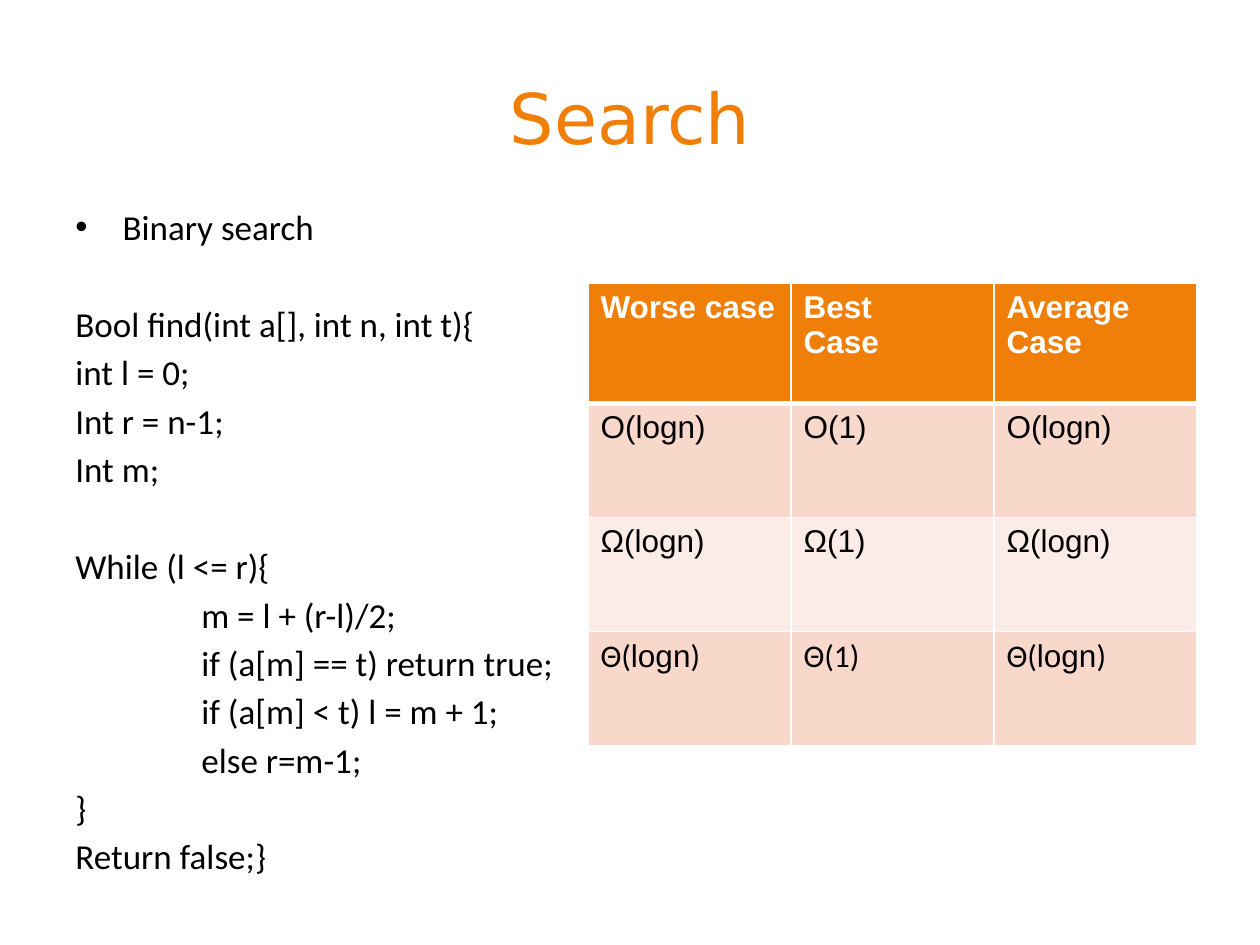
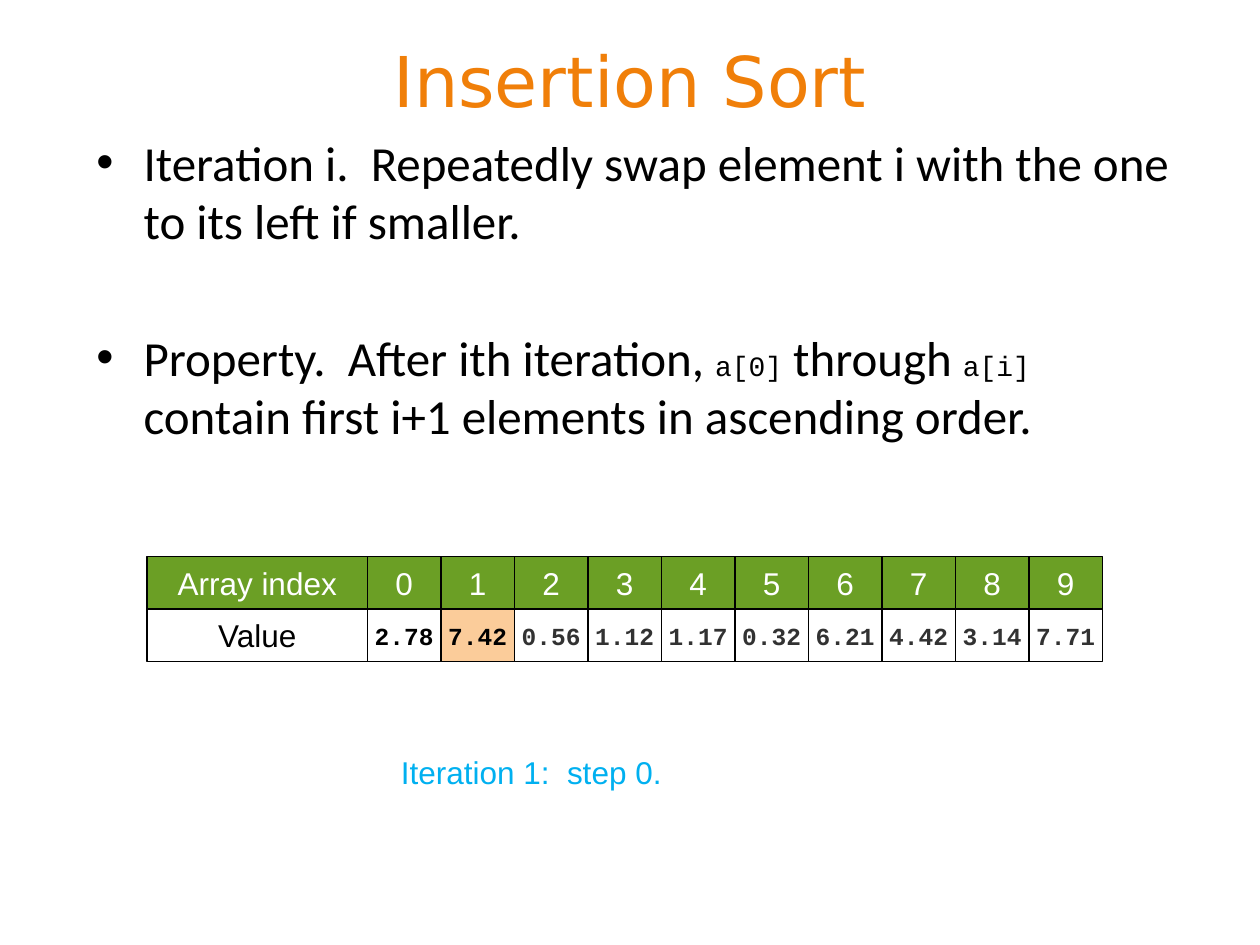
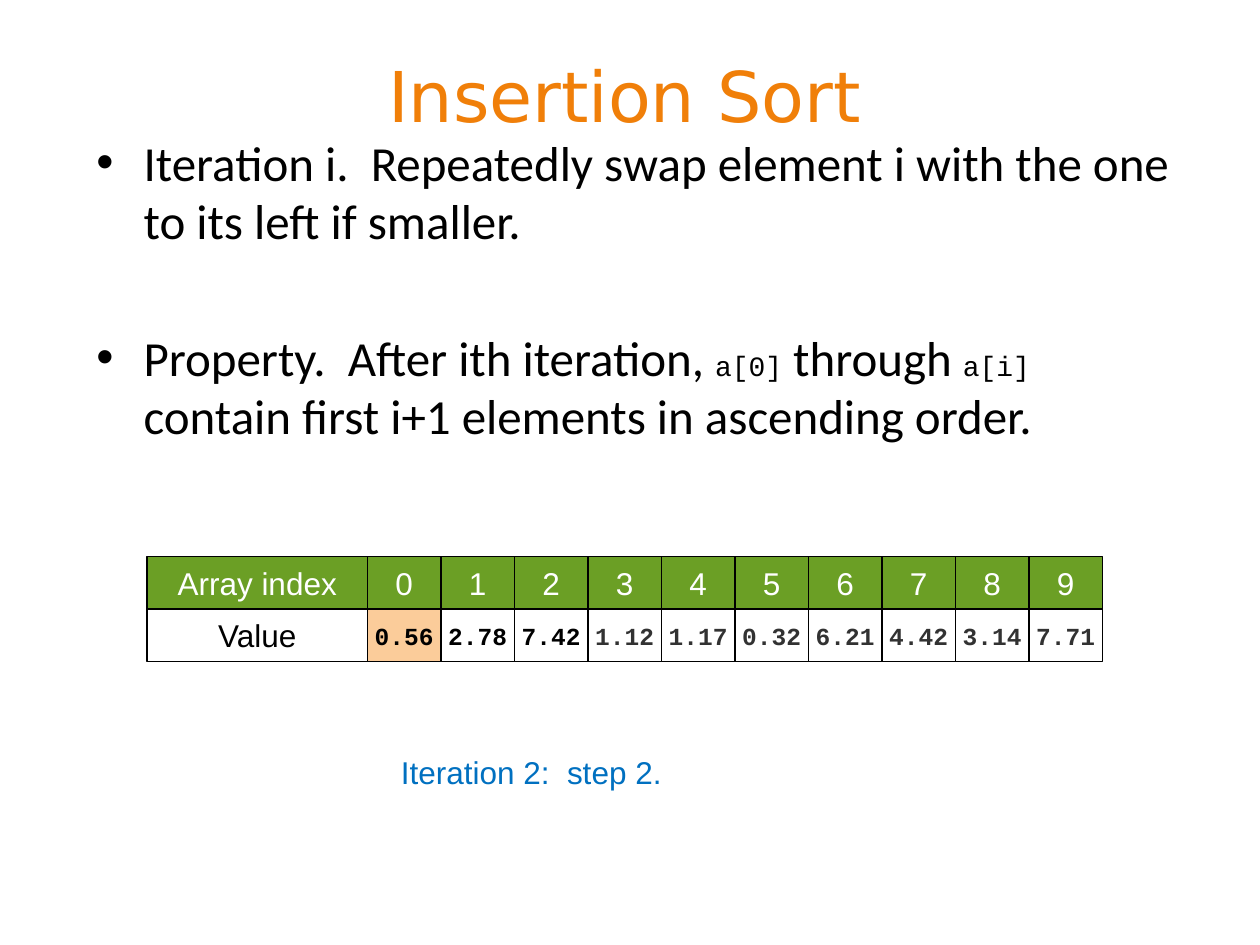
import pptx
import pptx.util
import pptx.dml.color
import pptx.enum.shapes
import pptx.enum.text
import pptx.oxml.ns
import lxml.etree

Pt = pptx.util.Pt
RGBColor = pptx.dml.color.RGBColor
ALIGN = pptx.enum.text.PP_ALIGN
ANCHOR = pptx.enum.text.MSO_ANCHOR

ORANGE = RGBColor(0xF0, 0x7F, 0x09)
PINK = RGBColor(0xF9, 0xD8, 0xCC)
PALE_PINK = RGBColor(0xFC, 0xEC, 0xE7)
GREEN = RGBColor(0x6B, 0x9F, 0x25)
PEACH = RGBColor(0xFB, 0xCC, 0x9A)
SKY = RGBColor(0x00, 0xB0, 0xF0)
BLUE = RGBColor(0x00, 0x70, 0xC0)
GREY = RGBColor(0x32, 0x32, 0x32)
BLACK = RGBColor(0, 0, 0)
WHITE = RGBColor(0xFF, 0xFF, 0xFF)

TITLE_FONT, BODY_FONT, TABLE_FONT, CODE_FONT = "DejaVu Sans", "Calibri", "Arial", "Courier New"
BULLET_INDENT = 27
CODE_INDENT = 72

CODE_LINES = [
    ("Bool find(int a[], int n, int t){", 0, True),
    ("int l = 0;", 0, False),
    ("Int r = n-1;", 0, False),
    ("Int m;", 0, False),
    ("While (l <= r){", 0, True),
    ("m = l + (r-l)/2;", 1, False),
    ("if (a[m] == t) return true;", 1, False),
    ("if (a[m] < t) l = m + 1;", 1, False),
    ("else r=m-1;", 1, False),
    ("}", 0, False),
    ("Return false;}", 0, False),
]
SORT_POINTS = [
    [("Iteration i.  Repeatedly swap element i with the one to its left if smaller.", False)],
    [("Property.  After ith iteration, ", False), ("a[0]", True), (" through ", False),
     ("a[i]", True), (" contain first i+1 elements in ascending order.", False)],
]
CASE_HEADERS = ["Worse case", "Best\nCase", "Average\nCase"]
CASE_BOUNDS = ["logn", "1", "logn"]


def style(span, font, size, colour, bold=False):
    """Give a run its font, size, colour and weight."""
    span.font.name = font
    span.font.size = Pt(size)
    span.font.color.rgb = colour
    span.font.bold = bold


def add_span(para, text, font, size, colour, bold=False):
    """Append a styled run to a paragraph."""
    span = para.add_run()
    span.text = text
    style(span, font, size, colour, bold)


def add_child(parent, tag, **attributes):
    """Append a DrawingML element to a parent."""
    return lxml.etree.SubElement(parent, pptx.oxml.ns.qn(tag), **attributes)


def add_bullet(para):
    """Give a paragraph a hanging round bullet."""
    properties = para._p.get_or_add_pPr()
    properties.set("marL", str(Pt(BULLET_INDENT)))
    properties.set("indent", str(-Pt(BULLET_INDENT)))
    add_child(properties, "a:buFont", typeface="Arial")
    add_child(properties, "a:buChar", char="•")


def add_text_frame(page, box):
    """Add a wrapping text box and return its frame."""
    frame = page.shapes.add_textbox(*map(Pt, box)).text_frame
    frame.word_wrap = True
    return frame


def add_title(page, box, text):
    """Place the centred slide title."""
    frame = add_text_frame(page, box)
    frame.vertical_anchor = ANCHOR.MIDDLE
    frame.paragraphs[0].alignment = ALIGN.CENTER
    add_span(frame.paragraphs[0], text, TITLE_FONT, 40, ORANGE)


def add_code(page, box, heading, lines):
    """Place a bulleted heading above lines of code."""
    frame = add_text_frame(page, box)
    para = frame.paragraphs[0]
    para.space_before = Pt(3.6)
    add_span(para, heading, BODY_FONT, 20, BLACK)
    add_bullet(para)
    for text, level, starts_block in lines:
        para = frame.add_paragraph()
        para.space_before = Pt(31.6 if starts_block else 3.6)
        para._p.get_or_add_pPr().set("marL", str(Pt(level * CODE_INDENT)))
        add_span(para, text, BODY_FONT, 20, BLACK)


def set_borders(cell, bottom_width):
    """Draw white borders round a table cell."""
    properties = cell._tc.get_or_add_tcPr()
    for index, (side, width) in enumerate(
            [("a:lnL", 1), ("a:lnR", 1), ("a:lnT", 1), ("a:lnB", bottom_width)]):
        line = lxml.etree.Element(pptx.oxml.ns.qn(side), w=str(Pt(width)))
        add_child(add_child(line, "a:solidFill"), "a:srgbClr", val=str(WHITE))
        properties.insert(index, line)


def add_case_table(page, box):
    """Place the table of running times by case."""
    table = page.shapes.add_table(4, 3, *map(Pt, box)).table
    for column in table.columns:
        column.width = Pt(box[2] / 3)
    header_height = 68.4
    for index, row in enumerate(table.rows):
        row.height = Pt((box[3] - header_height) / 3 if index else header_height)
    for column, header in enumerate(CASE_HEADERS):
        cell = table.cell(0, column)
        cell.text_frame.text = header
        for para in cell.text_frame.paragraphs:
            style(para.runs[0], TABLE_FONT, 18, WHITE, True)
        for row, symbol in enumerate("OΩΘ", 1):
            para = table.cell(row, column).text_frame.paragraphs[0]
            bound = CASE_BOUNDS[column]
            if symbol == "Θ" and bound == "logn":
                parts = [("Θ(", BODY_FONT), (bound, TABLE_FONT), (")", BODY_FONT)]
            else:
                parts = [(f"{symbol}({bound})", BODY_FONT if symbol == "Θ" else TABLE_FONT)]
            for text, font in parts:
                add_span(para, text, font, 18, BLACK)
        for row, fill in enumerate([ORANGE, PINK, PALE_PINK, PINK]):
            cell = table.cell(row, column)
            cell.fill.solid()
            cell.fill.fore_color.rgb = fill
            set_borders(cell, 1 if row else 3)


def add_array_cell(shapes, box, text, fill, font, size, colour, bold=False):
    """Place one outlined cell of the array."""
    shape = shapes.add_shape(pptx.enum.shapes.MSO_SHAPE.RECTANGLE, *map(Pt, box))
    shape.shadow.inherit = False
    shape.fill.solid()
    shape.fill.fore_color.rgb = fill
    shape.line.color.rgb = BLACK
    shape.line.width = Pt(0.75)
    frame = shape.text_frame
    frame.word_wrap = False
    frame.vertical_anchor = ANCHOR.MIDDLE
    frame.paragraphs[0].alignment = ALIGN.CENTER
    add_span(frame.paragraphs[0], text, font, size, colour, bold)


def add_array(page, box, values, active, reached):
    """Place the index row and the value row of the array."""
    left, top, width, height = box
    label_width, row_height = 126, height / 2
    cell_width = (width - label_width) / len(values)
    value_top = top + row_height
    add_array_cell(page.shapes, (left, value_top, label_width, row_height),
                   "Value", WHITE, TABLE_FONT, 18, BLACK)
    header = page.shapes.add_group_shape().shapes
    add_array_cell(header, (left, top, label_width, row_height),
                   "Array index", GREEN, TABLE_FONT, 18, WHITE)
    for index, value in enumerate(values):
        cell_left = left + label_width + index * cell_width
        add_array_cell(header, (cell_left, top, cell_width, row_height),
                       str(index), GREEN, TABLE_FONT, 18, WHITE)
        add_array_cell(page.shapes, (cell_left, value_top, cell_width, row_height),
                       value, PEACH if index == active else WHITE, CODE_FONT, 14,
                       BLACK if index <= reached else GREY, True)


def add_caption(page, box, text, colour):
    """Place the line that names the step."""
    frame = add_text_frame(page, box)
    add_span(frame.paragraphs[0], text, TABLE_FONT, 18, colour)


def add_points(page, box):
    """Place the two bulleted statements about the sort."""
    frame = add_text_frame(page, box)
    for index, parts in enumerate(SORT_POINTS):
        para = frame.add_paragraph() if index else frame.paragraphs[0]
        para.space_before = Pt(44.2 if index else 5)
        for text, is_code in parts:
            add_span(para, text, CODE_FONT if is_code else BODY_FONT,
                     16 if is_code else 28, BLACK)
        add_bullet(para)


def add_search_slide(deck):
    """Build the binary search slide."""
    page = deck.slides.add_slide(deck.slide_layouts[6])
    add_title(page, (36, 21.6, 648, 90), "Search")
    add_code(page, (36, 113.76, 648, 368.64), "Binary search", CODE_LINES)
    add_case_table(page, (336, 162, 348, 264))


def add_sort_slide(deck, title_corner, values, active, reached, caption, colour):
    """Build one step of the insertion sort."""
    page = deck.slides.add_slide(deck.slide_layouts[6])
    add_array(page, (84, 318, 546, 60), values.split(), active, reached)
    add_caption(page, (222, 427, 294, 29), caption, colour)
    add_title(page, (*title_corner, 648, 90), "Insertion Sort")
    add_points(page, (48, 72, 636, 426))


deck = pptx.Presentation()
deck.slide_width, deck.slide_height = Pt(720), Pt(540)
add_search_slide(deck)
add_sort_slide(deck, (36, 0.72), "2.78 7.42 0.56 1.12 1.17 0.32 6.21 4.42 3.14 7.71",
               1, 1, "Iteration 1:  step 0.", SKY)
add_sort_slide(deck, (33, 9), "0.56 2.78 7.42 1.12 1.17 0.32 6.21 4.42 3.14 7.71",
               0, 2, "Iteration 2:  step 2.", BLUE)
deck.save("out.pptx")
